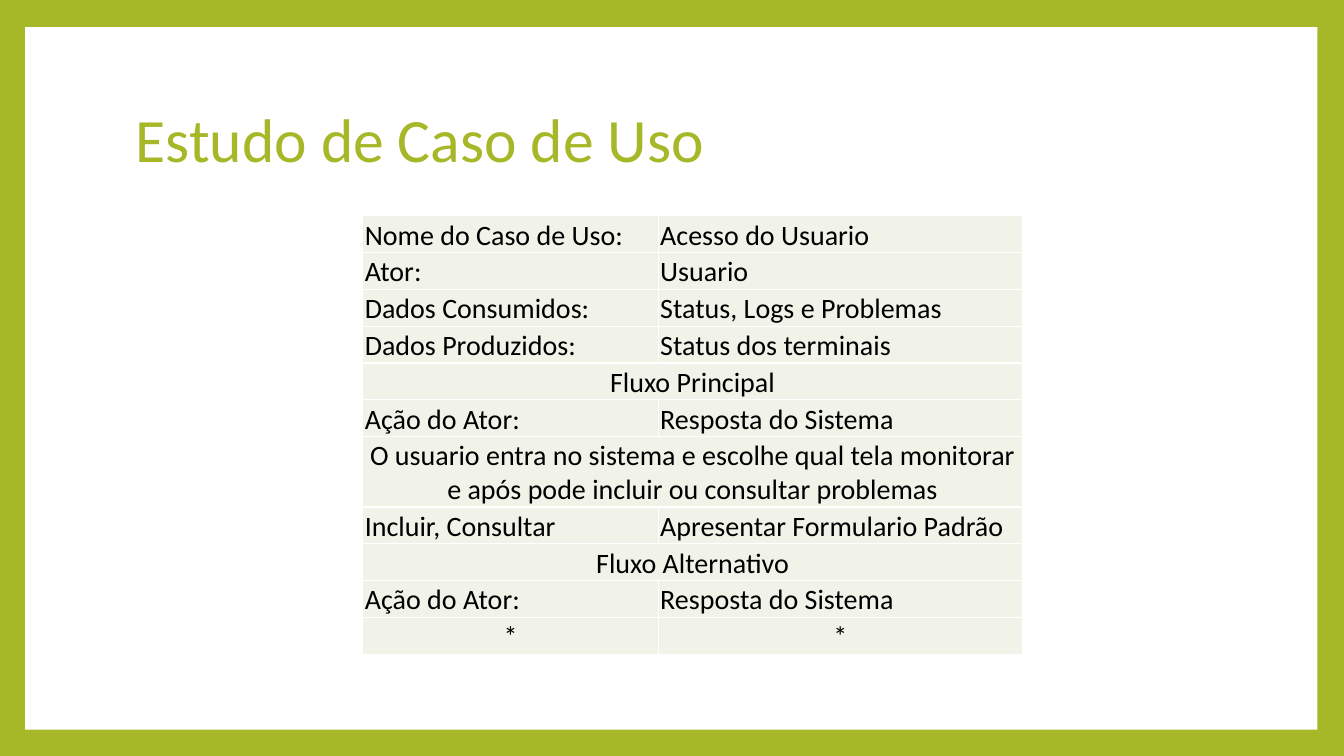
from dataclasses import dataclass

from lxml import etree
from pptx import Presentation
from pptx.dml.color import RGBColor
from pptx.enum.shapes import MSO_SHAPE
from pptx.enum.text import MSO_ANCHOR, PP_ALIGN
from pptx.oxml.ns import qn
from pptx.slide import Slide
from pptx.table import Table, _Cell
from pptx.util import Pt

RECTANGLE = MSO_SHAPE.RECTANGLE
MIDDLE, BOTTOM = MSO_ANCHOR.MIDDLE, MSO_ANCHOR.BOTTOM
LEFT, CENTER = PP_ALIGN.LEFT, PP_ALIGN.CENTER

COLORS = {"green": "A6B727", "white": "FFFFFF", "black": "000000", "cell": "F1F3E8"}
FONT = "Calibri"
TABLE_LEFT, TABLE_TOP = 259.2, 154.2
COLUMN_WIDTHS = (211, 260)
LINE_HEIGHT, TWO_LINE_HEIGHT = 26.3, 50.3
CELL_INSET = 1.4
BORDER_WIDTH = 1


@dataclass(frozen=True)
class Row:
    """A table row; a single text spans both columns."""
    texts: tuple[str, ...]
    alignment: PP_ALIGN = LEFT
    anchor: MSO_ANCHOR = BOTTOM
    height: float = LINE_HEIGHT


ACTION_HEADER = Row(("Ação do Ator:", "Resposta do Sistema"))
ROWS = (
    Row(("Nome do Caso de Uso:", "Acesso do Usuario")),
    Row(("Ator:", "Usuario")),
    Row(("Dados Consumidos:", "Status, Logs e Problemas")),
    Row(("Dados Produzidos:", "Status dos terminais")),
    Row(("Fluxo Principal",), CENTER),
    ACTION_HEADER,
    Row(("O usuario entra no sistema e escolhe qual tela monitorar "
         "e após pode incluir ou consultar problemas",), CENTER, MIDDLE, TWO_LINE_HEIGHT),
    Row(("Incluir, Consultar", "Apresentar Formulario Padrão")),
    Row(("Fluxo Alternativo",), CENTER),
    ACTION_HEADER,
    Row(("*", "*"), CENTER),
)


def color(name: str) -> RGBColor:
    return RGBColor.from_string(COLORS[name])


def add_background(slide: Slide) -> None:
    """Fill the slide with green and lay the white panel on it."""
    slide.background.fill.solid()
    slide.background.fill.fore_color.rgb = color("green")
    panel = slide.shapes.add_shape(RECTANGLE, Pt(18), Pt(19.4), Pt(923), Pt(501.8))
    panel.shadow.inherit = False
    panel.fill.solid()
    panel.fill.fore_color.rgb = color("white")
    panel.line.fill.background()


def add_title(slide: Slide, text: str) -> None:
    title = slide.shapes.add_textbox(Pt(90), Pt(48.2), Pt(777.6), Pt(106.6))
    frame = title.text_frame
    frame.word_wrap = True
    frame.vertical_anchor = MIDDLE
    paragraph = frame.paragraphs[0]
    paragraph.text = text
    paragraph.line_spacing = 0.9
    paragraph.font.name = FONT
    paragraph.font.size = Pt(44)
    paragraph.font.color.rgb = color("green")


def add_borders(cell: _Cell) -> None:
    properties = cell._tc.get_or_add_tcPr()
    for side in ("a:lnL", "a:lnR", "a:lnT", "a:lnB"):
        line = etree.SubElement(properties, qn(side), w=str(Pt(BORDER_WIDTH)))
        fill = etree.SubElement(line, qn("a:solidFill"))
        etree.SubElement(fill, qn("a:srgbClr"), val=COLORS["white"])


def format_cell(cell: _Cell, row: Row) -> None:
    add_borders(cell)
    cell.fill.solid()
    cell.fill.fore_color.rgb = color("cell")
    cell.margin_left = cell.margin_right = cell.margin_top = Pt(CELL_INSET)
    cell.margin_bottom = 0
    cell.vertical_anchor = row.anchor
    paragraph = cell.text_frame.paragraphs[0]
    paragraph.alignment = row.alignment
    paragraph.font.name = FONT
    paragraph.font.size = Pt(20)
    paragraph.font.color.rgb = color("black")


def fill_row(table: Table, index: int, row: Row) -> None:
    table.rows[index].height = Pt(row.height)
    cells = table.rows[index].cells
    for cell, text in zip(cells, row.texts):
        cell.text = text
    for cell in cells:
        format_cell(cell, row)
    if len(row.texts) == 1:
        table.cell(index, 0).merge(table.cell(index, len(COLUMN_WIDTHS) - 1))


def add_use_case_table(slide: Slide) -> None:
    frame = slide.shapes.add_table(
        len(ROWS), len(COLUMN_WIDTHS), Pt(TABLE_LEFT), Pt(TABLE_TOP),
        Pt(sum(COLUMN_WIDTHS)), Pt(sum(row.height for row in ROWS)))
    table = frame.table
    table.first_row = table.horz_banding = False
    for column, width in zip(table.columns, COLUMN_WIDTHS):
        column.width = Pt(width)
    for index, row in enumerate(ROWS):
        fill_row(table, index, row)


def main() -> None:
    presentation = Presentation()
    presentation.slide_width, presentation.slide_height = Pt(960), Pt(540)
    slide = presentation.slides.add_slide(presentation.slide_layouts[6])
    add_background(slide)
    add_title(slide, "Estudo de Caso de Uso")
    add_use_case_table(slide)
    presentation.save("out.pptx")


if __name__ == "__main__":
    main()
